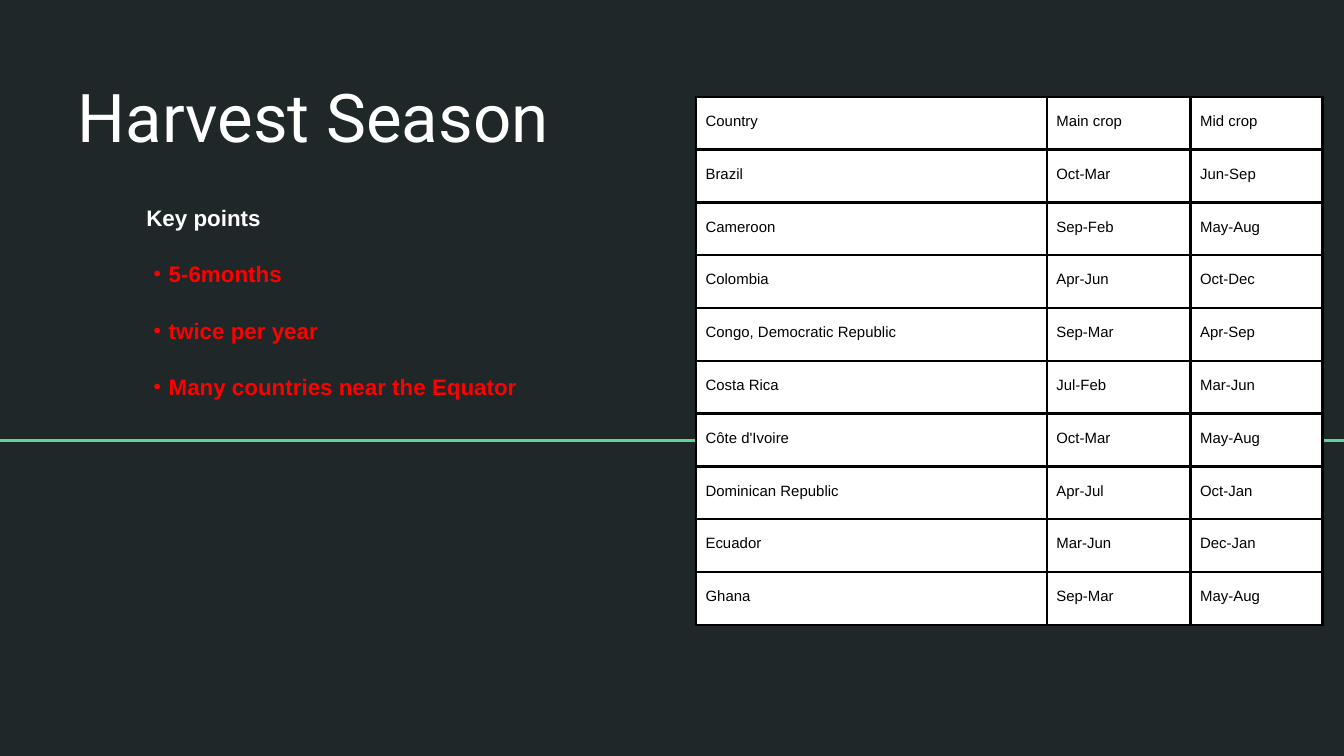
from pptx import Presentation
from pptx.dml.color import RGBColor
from pptx.enum.shapes import MSO_CONNECTOR
from pptx.enum.text import MSO_ANCHOR, PP_ALIGN
from pptx.oxml.ns import qn
from pptx.util import Inches, Pt
from lxml.etree import SubElement

DARK = RGBColor(0x20, 0x27, 0x29)
GREEN = RGBColor(0x63, 0xD2, 0x97)
WHITE = RGBColor(0xFF, 0xFF, 0xFF)
BLACK = RGBColor(0x00, 0x00, 0x00)
RED = RGBColor(0xFF, 0x00, 0x00)

TITLE = "Harvest Season"
KEY_POINTS = [
    ("Key points", WHITE),
    ("・5-6months", RED),
    ("・twice per year", RED),
    ("・Many countries near the Equator", RED),
]
HARVESTS = [
    ("Country", "Main crop", "Mid crop"),
    ("Brazil", "Oct-Mar", "Jun-Sep"),
    ("Cameroon", "Sep-Feb", "May-Aug"),
    ("Colombia", "Apr-Jun", "Oct-Dec"),
    ("Congo, Democratic Republic", "Sep-Mar", "Apr-Sep"),
    ("Costa Rica", "Jul-Feb", "Mar-Jun"),
    ("Côte d'Ivoire", "Oct-Mar", "May-Aug"),
    ("Dominican Republic", "Apr-Jul", "Oct-Jan"),
    ("Ecuador", "Mar-Jun", "Dec-Jan"),
    ("Ghana", "Sep-Mar", "May-Aug"),
]
SLIDE_WIDTH = Inches(10)
SLIDE_HEIGHT = SLIDE_WIDTH * 9 // 16
COLUMN_WIDTHS = (2.61, 1.07, 0.98)
TABLE_HEIGHT = 3.93


def write(frame, lines, size, font="Arial", bold=False, align=PP_ALIGN.JUSTIFY,
          spacing=1.4, inset=0.1, anchor=MSO_ANCHOR.TOP):
    frame.word_wrap = True
    frame.vertical_anchor = anchor
    frame.margin_left = frame.margin_right = Inches(inset)
    frame.margin_top = frame.margin_bottom = Inches(inset)
    for index, (text, color) in enumerate(lines):
        paragraph = frame.add_paragraph() if index else frame.paragraphs[0]
        paragraph.alignment = align
        paragraph.line_spacing = spacing
        paragraph.space_before = Pt(10 if index else 0)
        run = paragraph.add_run()
        run.text = text
        run.font.name = font
        run.font.size = Pt(size)
        run.font.bold = bold
        run.font.color.rgb = color


def add_text(slide, box, lines, **style):
    shape = slide.shapes.add_textbox(*map(Inches, box))
    write(shape.text_frame, lines, **style)


def set_borders(cell, color, width):
    properties = cell._tc.get_or_add_tcPr()
    for position, side in enumerate(("a:lnL", "a:lnR", "a:lnT", "a:lnB")):
        border = properties.makeelement(qn(side), {"w": str(Pt(width))})
        fill = SubElement(border, qn("a:solidFill"))
        SubElement(fill, qn("a:srgbClr"), val=str(color))
        properties.insert(position, border)


def add_divider(slide, y):
    divider = slide.shapes.add_connector(
        MSO_CONNECTOR.STRAIGHT, 0, Inches(y), SLIDE_WIDTH, Inches(y))
    divider.line.color.rgb = GREEN
    divider.line.width = Pt(1.5)
    SubElement(divider._element.spPr, qn("a:effectLst"))


def add_harvest_table(slide, left, top):
    table = slide.shapes.add_table(
        len(HARVESTS), len(COLUMN_WIDTHS), Inches(left), Inches(top),
        Inches(sum(COLUMN_WIDTHS)), Inches(TABLE_HEIGHT)).table
    table.first_row = table.horz_banding = False
    for column, width in zip(table.columns, COLUMN_WIDTHS):
        column.width = Inches(width)
    for row, harvest in zip(table.rows, HARVESTS):
        row.height = Inches(TABLE_HEIGHT / len(HARVESTS))
        for cell, text in zip(row.cells, harvest):
            cell.fill.solid()
            cell.fill.fore_color.rgb = WHITE
            write(cell.text_frame, [(text, BLACK)], size=8)
            cell.margin_left = cell.margin_right = Inches(0.07)
            cell.margin_top = cell.margin_bottom = Inches(0.07)
            set_borders(cell, BLACK, 1.5)


def main():
    deck = Presentation()
    deck.slide_width, deck.slide_height = SLIDE_WIDTH, SLIDE_HEIGHT
    slide = deck.slides.add_slide(deck.slide_layouts[6])
    slide.background.fill.solid()
    slide.background.fill.fore_color.rgb = DARK
    add_divider(slide, 3.28)
    add_text(slide, (0.48, 0.41, 8.88, 0.85), [(TITLE, WHITE)], size=36,
             font="Roboto", align=PP_ALIGN.LEFT, spacing=1.0,
             anchor=MSO_ANCHOR.BOTTOM)
    add_harvest_table(slide, 5.18, 0.72)
    add_text(slide, (0.99, 1.34, 3.95, 2.06), KEY_POINTS, size=12, bold=True)
    deck.save("out.pptx")


if __name__ == "__main__":
    main()
